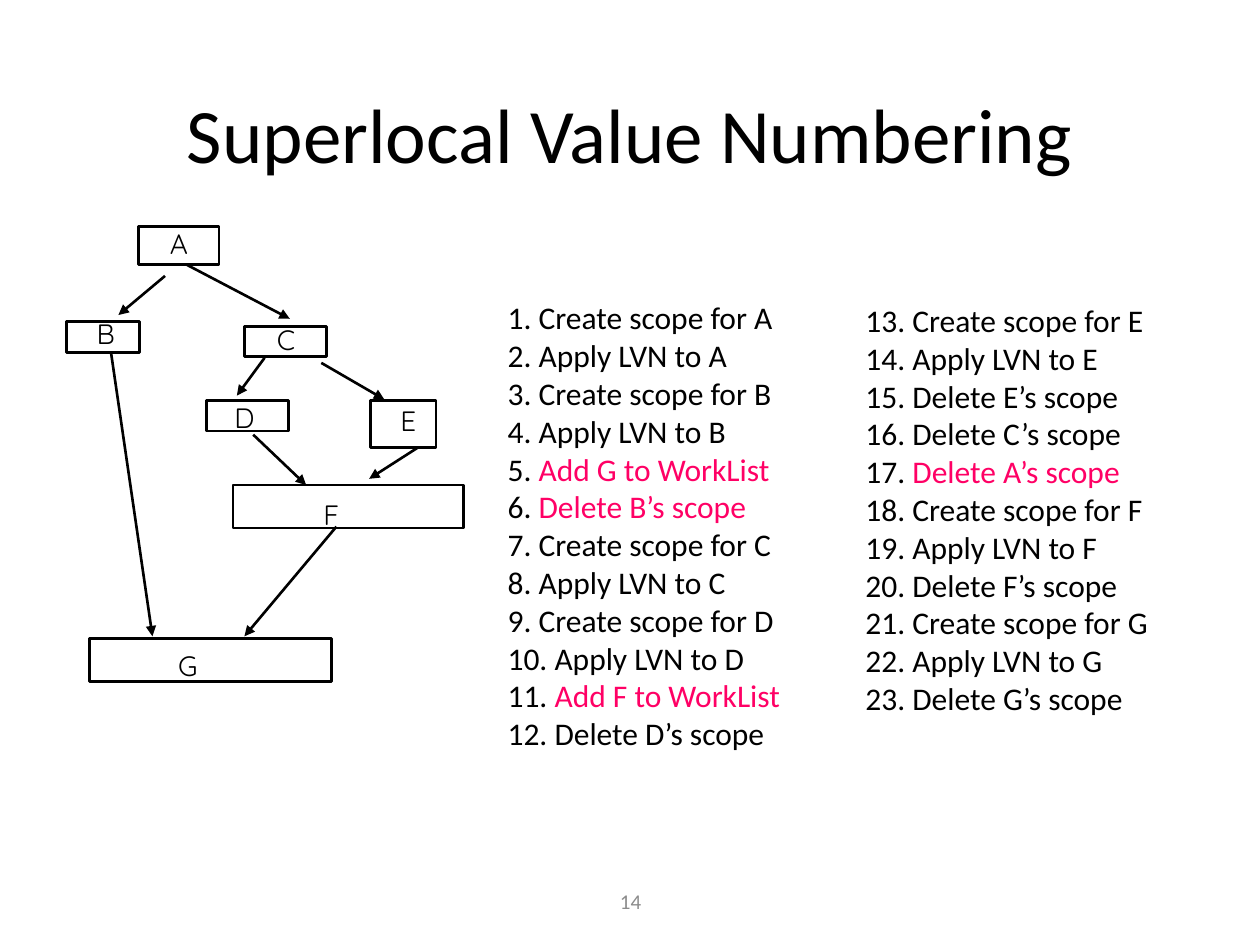
from lxml import etree
from pptx import Presentation
from pptx.dml.color import RGBColor
from pptx.enum.shapes import MSO_CONNECTOR, MSO_SHAPE
from pptx.enum.text import MSO_ANCHOR, PP_ALIGN
from pptx.oxml.ns import qn
from pptx.util import Inches, Pt

RECT = MSO_SHAPE.RECTANGLE
STRAIGHT = MSO_CONNECTOR.STRAIGHT
MIDDLE, TOP = MSO_ANCHOR.MIDDLE, MSO_ANCHOR.TOP
CENTER, LEFT = PP_ALIGN.CENTER, PP_ALIGN.LEFT
TITLE_ONLY = 5

BLACK, PINK, GRAY = "000000", "FF0065", "8C8C8C"
BODY, LABEL = "Calibri", "Quicksand"

# Name, block (left, top, width, height), label (left, top)
BLOCKS = [
    ("A", (1.1, 1.8, 0.64, 0.3), (1.21, 1.75)),
    ("B", (0.53, 2.55, 0.58, 0.25), (0.63, 2.46)),
    ("C", (1.94, 2.59, 0.65, 0.24), (2.06, 2.51)),
    ("D", (1.64, 3.18, 0.65, 0.24), (1.73, 3.13)),
    ("E", (2.94, 3.18, 0.52, 0.37), (3.03, 3.15)),
    ("F", (1.85, 3.85, 1.83, 0.34), (2.42, 3.9)),
    ("G", (0.71, 5.07, 1.92, 0.34), (1.28, 5.1)),
]

# Start x, y and end x, y
ARROWS = [
    (1.31, 2.19, 0.94, 2.5),   # A to B
    (1.48, 2.1, 2.3, 2.53),    # A to C
    (2.1, 2.84, 1.88, 3.14),   # C to D
    (2.55, 2.88, 3.05, 3.17),  # C to E
    (2.01, 3.45, 2.43, 3.85),  # D to F
    (3.32, 3.55, 2.93, 3.8),   # E to F
    (0.88, 2.79, 1.21, 5.05),  # B to G
    (2.67, 4.18, 1.94, 5.05),  # F to G
]

STEPS = [
    "Create scope for A", "Apply LVN to A",
    "Create scope for B", "Apply LVN to B",
    "Add G to WorkList", "Delete B’s scope",
    "Create scope for C", "Apply LVN to C",
    "Create scope for D", "Apply LVN to D",
    "Add F to WorkList", "Delete D’s scope",
    "Create scope for E", "Apply LVN to E",
    "Delete E’s scope", "Delete C’s scope", "Delete A’s scope",
    "Create scope for F", "Apply LVN to F", "Delete F’s scope",
    "Create scope for G", "Apply LVN to G", "Delete G’s scope",
]
MARKED = {5, 6, 11, 17}
SPLIT = 12


def color(code):
    return RGBColor.from_string(code)


def place(shape, box):
    shape.left, shape.top, shape.width, shape.height = map(Inches, box)


def add_run(para, text, size, font=BODY, code=BLACK):
    run = para.add_run()
    run.text = text
    run.font.size = Pt(size)
    run.font.name = font
    run.font.color.rgb = color(code)


def add_box(slide, box, anchor=TOP):
    frame = slide.shapes.add_textbox(*map(Inches, box)).text_frame
    frame.word_wrap = True
    frame.vertical_anchor = anchor
    return frame


def add_line(slide, box, text, size, font=BODY, code=BLACK, anchor=TOP):
    """Add a text box with one centred line."""
    para = add_box(slide, box, anchor).paragraphs[0]
    para.alignment = CENTER
    add_run(para, text, size, font, code)


def add_title(slide, text):
    title = slide.shapes.title
    place(title, (0.75, 0.58, 8.5, 0.95))
    title.text_frame.vertical_anchor = MIDDLE
    para = title.text_frame.paragraphs[0]
    para.alignment = CENTER
    add_run(para, text, 44)


def add_steps(slide, box, steps, first):
    """List the steps, numbered from first, with marked ones in pink."""
    frame = add_box(slide, box)
    for num, step in enumerate(steps, first):
        para = frame.paragraphs[0] if num == first else frame.add_paragraph()
        para.alignment = LEFT
        add_run(para, f"{num}. ", 18)
        add_run(para, step, 18, code=PINK if num in MARKED else BLACK)


def add_block(slide, name, box, spot):
    rect = slide.shapes.add_shape(RECT, *map(Inches, box))
    rect.shadow.inherit = False
    rect.fill.background()
    rect.line.color.rgb = color(BLACK)
    rect.line.width = Pt(1.5)
    add_line(slide, (*spot, 0.42, 0.37), name, 16, LABEL)


def add_arrow(slide, ends):
    arrow = slide.shapes.add_connector(STRAIGHT, *map(Inches, ends))
    arrow.line.color.rgb = color(BLACK)
    arrow.line.width = Pt(1.5)
    line = arrow.line._get_or_add_ln()
    etree.SubElement(line, qn("a:tailEnd"), type="triangle")
    etree.SubElement(arrow._element.spPr, qn("a:effectLst"))


def main():
    deck = Presentation()
    deck.slide_width, deck.slide_height = Inches(10), Inches(7.5)
    slide = deck.slides.add_slide(deck.slide_layouts[TITLE_ONLY])
    add_title(slide, "Superlocal Value Numbering")
    add_line(slide, (3.42, 6.95, 3.17, 0.4), "14", 12,
             code=GRAY, anchor=MIDDLE)
    add_steps(slide, (3.93, 2.32, 2.98, 3.74), STEPS[:SPLIT], 1)
    add_steps(slide, (6.77, 2.34, 2.98, 3.43), STEPS[SPLIT:], SPLIT + 1)
    for block in BLOCKS:
        add_block(slide, *block)
    for ends in ARROWS:
        add_arrow(slide, ends)
    deck.save("out.pptx")


if __name__ == "__main__":
    main()
